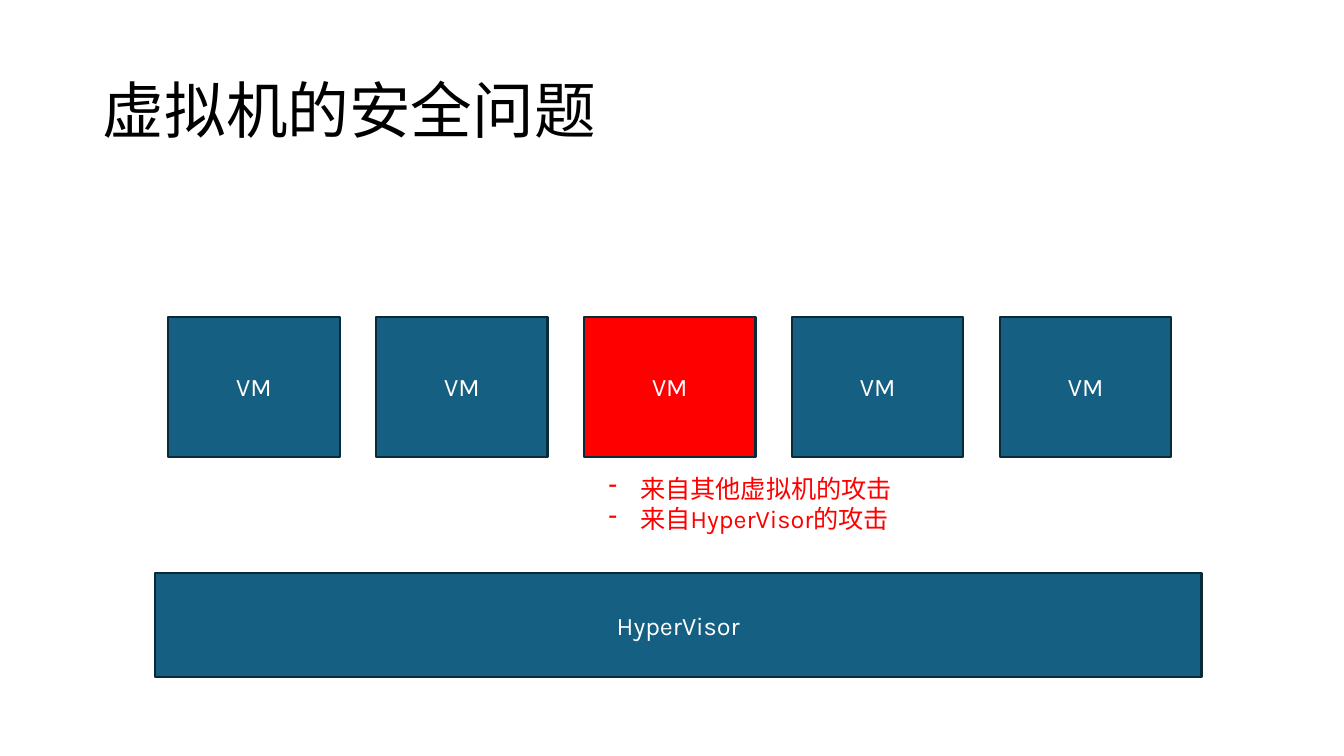
import lxml.etree
import pptx
import pptx.dml.color
import pptx.enum.shapes
import pptx.enum.text
import pptx.oxml.ns
import pptx.util
from pptx.util import Cm

BLUE = pptx.dml.color.RGBColor(0x15, 0x60, 0x82)
NAVY = pptx.dml.color.RGBColor(0x09, 0x2A, 0x39)
RED = pptx.dml.color.RGBColor(0xFF, 0x00, 0x00)
WHITE = pptx.dml.color.RGBColor(0xFF, 0xFF, 0xFF)
BLACK = pptx.dml.color.RGBColor(0x00, 0x00, 0x00)
FONT = "Karla"
VM_COUNT = 5
ATTACKED_VM = 2


def style_text(paragraph, size, color, alignment):
    """Set the font and alignment of a paragraph."""
    paragraph.alignment = alignment
    paragraph.font.name = FONT
    paragraph.font.size = pptx.util.Pt(size)
    paragraph.font.color.rgb = color


def set_title(slide, text):
    """Place and format the slide title."""
    title = slide.shapes.title
    title.left, title.top = Cm(2.34), Cm(1.02)
    title.width, title.height = Cm(29.21), Cm(3.68)
    frame = title.text_frame
    frame.text = text
    frame.auto_size = pptx.enum.text.MSO_AUTO_SIZE.NONE
    frame.vertical_anchor = pptx.enum.text.MSO_ANCHOR.MIDDLE
    frame.paragraphs[0].line_spacing = 0.9
    style_text(frame.paragraphs[0], 44, BLACK, pptx.enum.text.PP_ALIGN.LEFT)


def add_block(slide, text, left, top, width, height, fill):
    """Add a labelled rectangle."""
    block = slide.shapes.add_shape(
        pptx.enum.shapes.MSO_SHAPE.RECTANGLE, left, top, width, height)
    block.shadow.inherit = False
    block.fill.solid()
    block.fill.fore_color.rgb = fill
    block.line.color.rgb = NAVY
    block.line.width = pptx.util.Pt(1.5)
    frame = block.text_frame
    frame.text = text
    frame.vertical_anchor = pptx.enum.text.MSO_ANCHOR.MIDDLE
    style_text(frame.paragraphs[0], 18, WHITE, pptx.enum.text.PP_ALIGN.CENTER)


def add_dash_list(slide, items, left, top, width, height):
    """Add a red list with dash bullets."""
    frame = slide.shapes.add_textbox(left, top, width, height).text_frame
    frame.word_wrap = True
    frame.auto_size = pptx.enum.text.MSO_AUTO_SIZE.SHAPE_TO_FIT_TEXT
    frame.text = "\n".join(items)
    for paragraph in frame.paragraphs:
        properties = paragraph._p.get_or_add_pPr()
        properties.set("marL", str(Cm(0.79)))
        properties.set("indent", str(-Cm(0.79)))
        bullet = lxml.etree.SubElement(properties, pptx.oxml.ns.qn("a:buChar"))
        bullet.set("char", "-")
        style_text(paragraph, 18, RED, pptx.enum.text.PP_ALIGN.LEFT)


def main():
    """Build the slide on virtual machine security."""
    deck = pptx.Presentation()
    deck.slide_width, deck.slide_height = Cm(33.87), Cm(19.05)
    slide = deck.slides.add_slide(deck.slide_layouts[5])
    set_title(slide, "虚拟机的安全问题")
    add_block(slide, "HyperVisor", Cm(3.91), Cm(14.45), Cm(26.37), Cm(2.62), BLUE)
    for index in range(VM_COUNT):
        fill = RED if index == ATTACKED_VM else BLUE
        add_block(slide, "VM", Cm(4.24 + 5.24 * index), Cm(7.98),
                  Cm(4.32), Cm(3.53), fill)
    add_dash_list(slide, ["来自其他虚拟机的攻击", "来自HyperVisor的攻击"],
                  Cm(15.09), Cm(11.79), Cm(9.8), Cm(1.8))
    deck.save("out.pptx")


if __name__ == "__main__":
    main()
